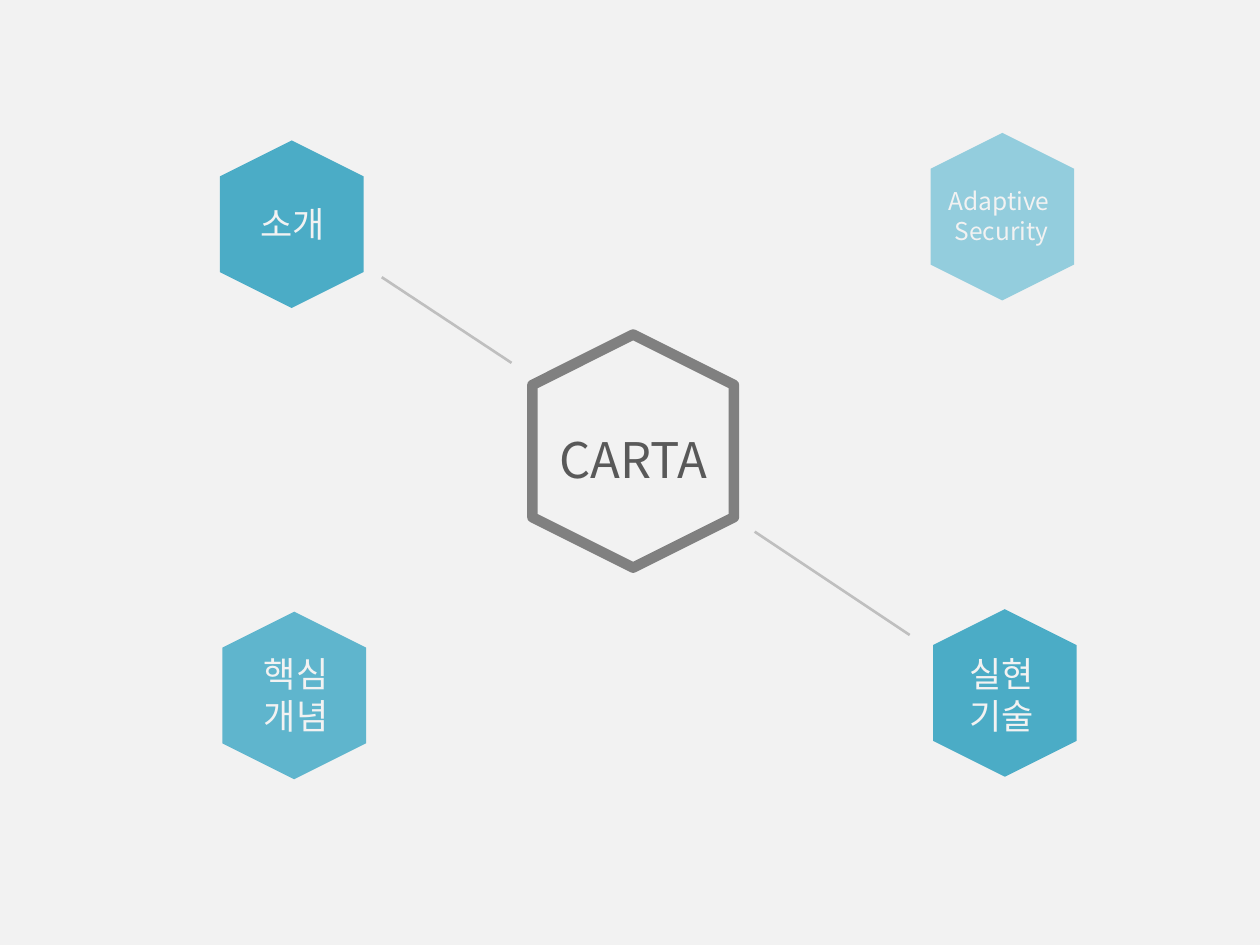
"""Build the CARTA topic map slide."""
from dataclasses import dataclass

from lxml.etree import SubElement
from pptx import Presentation
from pptx.dml.color import RGBColor as Rgb
from pptx.enum.shapes import MSO_CONNECTOR as Link, MSO_SHAPE as Kind
from pptx.enum.text import MSO_AUTO_SIZE as Fit, PP_ALIGN as Align
from pptx.oxml.ns import qn
from pptx.shapes.autoshape import Shape
from pptx.shapes.shapetree import GroupShapes, SlideShapes
from pptx.util import Inches, Pt

PAPER = Rgb(0xF2, 0xF2, 0xF2)
INK = Rgb(0x59, 0x59, 0x59)
RING = Rgb(0x80, 0x80, 0x80)
RULE = Rgb(0xBF, 0xBF, 0xBF)
TEAL = Rgb(0x4B, 0xAC, 0xC6)
MID = Rgb(0x5F, 0xB5, 0xCD)
PALE = Rgb(0x93, 0xCD, 0xDD)
FONT = "Noto Sans CJK KR"

Tree = SlideShapes | GroupShapes
Box = tuple[float, float, float, float]


@dataclass
class Topic:
    text: str
    left: float
    top: float
    label: Box
    fill: Rgb
    size: int = 20


@dataclass
class Spoke:
    start: tuple[float, float]
    end: tuple[float, float]


TOPICS = [
    Topic("소개", 1.65, 1.21, (1.96, 1.56, 0.72, 0.44), TEAL),
    Topic("Adaptive \nSecurity", 7.29, 1.15, (7.41, 1.43, 1.08, 0.57), PALE, 14),
    Topic("핵심\n개념", 1.67, 4.95, (1.99, 5.13, 0.72, 0.77), MID),
    Topic("실현\n기술", 7.31, 4.93, (7.59, 5.13, 0.72, 0.77), TEAL),
]
SPOKES = [
    Spoke((5.99, 4.22), (7.22, 5.04)),
    Spoke((3.03, 2.2), (4.06, 2.88)),
]


def add_hex(tree: Tree, box: Box) -> Shape:
    shape = tree.add_shape(Kind.HEXAGON, *map(Inches, box))
    shape.rotation = 90
    shape.shadow.inherit = False
    return shape


def add_label(tree: Tree, text: str, box: Box, size: int, color: Rgb,
              wrap: bool = False) -> None:
    frame = tree.add_textbox(*map(Inches, box)).text_frame
    frame.text = text
    frame.word_wrap = wrap
    frame.auto_size = Fit.SHAPE_TO_FIT_TEXT
    for para in frame.paragraphs:
        para.alignment = Align.CENTER
        for run in para.runs:
            run.font.size = Pt(size)
            run.font.color.rgb = color
            run.font.name = FONT
            SubElement(run.font._element, qn("a:ea"), typeface=FONT)


def add_topic(tree: SlideShapes, topic: Topic) -> None:
    group = tree.add_group_shape().shapes
    shape = add_hex(group, (topic.left, topic.top, 1.33, 1.14))
    shape.fill.solid()
    shape.fill.fore_color.rgb = topic.fill
    shape.line.fill.background()
    add_label(group, topic.text, topic.label, topic.size, PAPER)


def add_spoke(tree: SlideShapes, spoke: Spoke) -> None:
    ends = map(Inches, spoke.start + spoke.end)
    line = tree.add_connector(Link.STRAIGHT, *ends)
    line.line.color.rgb = RULE
    line.line.width = Pt(1.5)
    SubElement(line._element.spPr, qn("a:effectLst"))


def main() -> None:
    deck = Presentation()
    deck.slide_width, deck.slide_height = Inches(10), Inches(7.5)
    slide = deck.slides.add_slide(deck.slide_layouts[6])
    back = slide.background.fill
    back.solid()
    back.fore_color.rgb = PAPER
    tree = slide.shapes
    add_label(tree, "CARTA", (4.2, 3.36, 1.65, 0.57), 28, INK, wrap=True)
    ring = add_hex(tree, (4.1, 2.78, 1.85, 1.6))
    ring.fill.background()
    ring.line.color.rgb = RING
    ring.line.width = Pt(6)
    for spoke in SPOKES:
        add_spoke(tree, spoke)
    for topic in TOPICS:
        add_topic(tree, topic)
    deck.save("out.pptx")


if __name__ == "__main__":
    main()
